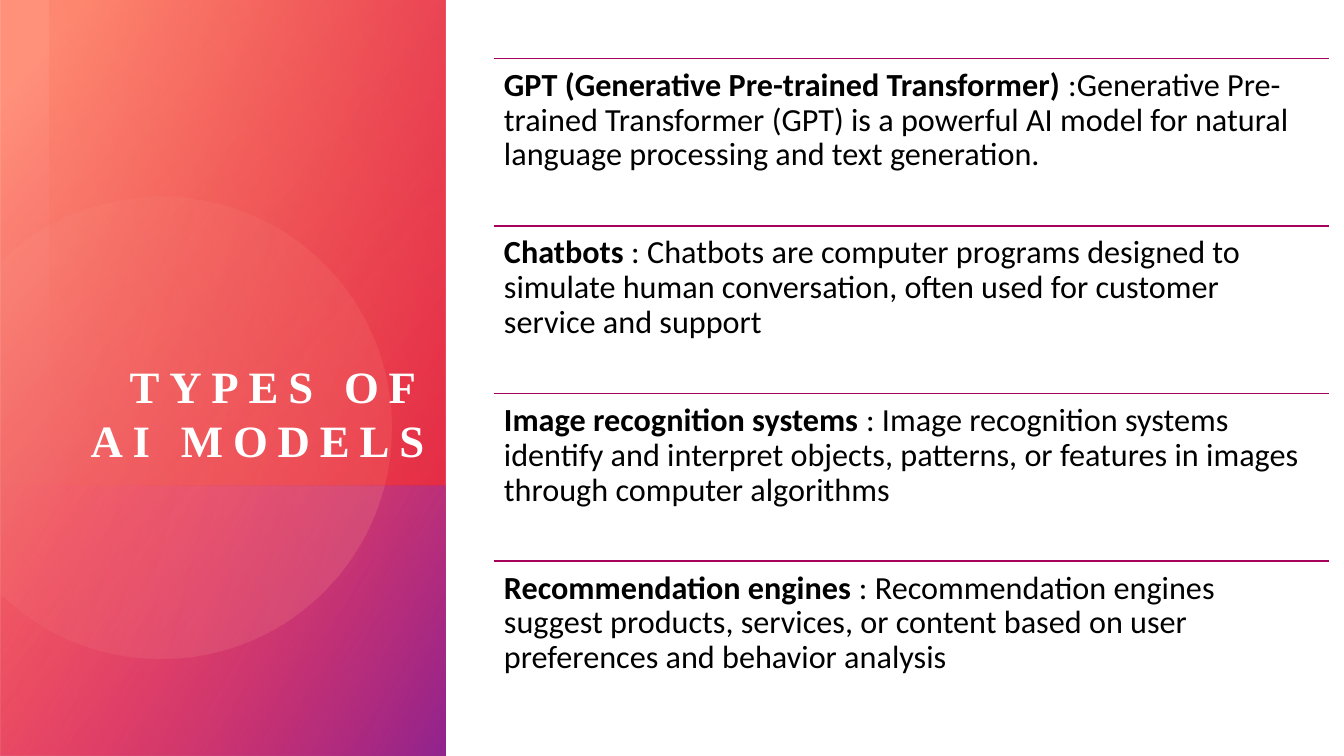
from math import cos, radians, sin

from lxml.etree import SubElement
from pptx import Presentation
from pptx.dml.color import RGBColor
from pptx.enum.shapes import MSO_CONNECTOR, MSO_SHAPE
from pptx.enum.text import MSO_ANCHOR, PP_ALIGN
from pptx.oxml.ns import qn
from pptx.util import Inches, Pt

WHITE = RGBColor(0xFF, 0xFF, 0xFF)
BLACK = RGBColor(0x00, 0x00, 0x00)
PLUM = RGBColor(0xA6, 0x02, 0x5C)
SALMON = RGBColor(0xFF, 0x90, 0x7A)
PEACH = RGBColor(0xFF, 0xBC, 0xAF)
RED = RGBColor(0xDA, 0x00, 0x2F)
ORANGE = RGBColor(0xFE, 0x4A, 0x00)
PINK = RGBColor(0xFF, 0x50, 0x76)
PURPLE = RGBColor(0x92, 0x24, 0x8E)

MODELS = [
    ("GPT (Generative Pre-trained Transformer) ",
     ":Generative Pre-trained Transformer (GPT) is a powerful AI model for "
     "natural language processing and text generation."),
    ("Chatbots",
     " : Chatbots are computer programs designed to simulate human "
     "conversation, often used for customer service and support"),
    ("Image recognition systems",
     " : Image recognition systems identify and interpret objects, patterns, "
     "or features in images through computer algorithms"),
    ("Recommendation engines",
     " : Recommendation engines suggest products, services, or content based "
     "on user preferences and behavior analysis"),
]


class SlideBuilder:
    title_font = "Times New Roman"
    body_font = "Calibri"

    def __init__(self, page):
        self.page = page

    def gradient(self, shape, stops, angle):
        """Fill with two (position %, colour, opacity %) stops, angle clockwise."""
        shape.shadow.inherit = False
        shape.line.fill.background()
        shape.fill.gradient()
        shape.fill.gradient_angle = 360 - angle
        for stop, (position, color, _) in zip(shape.fill.gradient_stops, stops):
            stop.position = position / 100
            stop.color.rgb = color
        colors = shape._element.spPr.find(qn("a:gradFill")).iter(qn("a:srgbClr"))
        for element, (_, _, opacity) in zip(list(colors), stops):
            SubElement(element, qn("a:alpha"), val=str(opacity * 1000))

    def panel(self, left, top, width, height, rotation, stops, angle):
        """Add a mirrored, turned rectangle with a gradient."""
        shape = self.page.shapes.add_shape(
            MSO_SHAPE.RECTANGLE, Inches(left), Inches(top), Inches(width), Inches(height))
        shape.rotation = rotation
        shape._element.spPr.find(qn("a:xfrm")).set("flipH", "1")
        self.gradient(shape, stops, angle)

    def cut_circle(self, center_x, center_y, radius, half_cut, tilt, stops, angle):
        """Add a circle whose left part is cut off by an upright chord."""
        steps = 120
        start = 180 + half_cut + tilt
        sweep = 360 - 2 * half_cut
        angles = [radians(start + sweep * step / steps) for step in range(steps + 1)]
        points = [(Inches(center_x + radius * cos(a)), Inches(center_y + radius * sin(a)))
                  for a in angles]
        builder = self.page.shapes.build_freeform(*points[0])
        builder.add_line_segments(points[1:], close=True)
        shape = builder.convert_to_shape()
        shape.rotation = 360 - tilt
        self.gradient(shape, stops, angle)

    def rule(self, left, top, width):
        line = self.page.shapes.add_connector(
            MSO_CONNECTOR.STRAIGHT, Inches(left), Inches(top), Inches(left + width), Inches(top))
        line.line.color.rgb = PLUM
        line.line.width = Pt(1)
        SubElement(line._element.spPr, qn("a:effectLst"))

    def text_box(self, left, top, width, height, inset, anchor):
        box = self.page.shapes.add_textbox(
            Inches(left), Inches(top), Inches(width), Inches(height))
        frame = box.text_frame
        frame.word_wrap = True
        frame.vertical_anchor = anchor
        frame.margin_left = frame.margin_right = Inches(inset)
        frame.margin_top = frame.margin_bottom = Inches(inset)
        return frame

    def title(self, text, left, top, width, height):
        frame = self.text_box(left, top, width, height, 0, MSO_ANCHOR.BOTTOM)
        frame.text = text
        para = frame.paragraphs[0]
        para.alignment = PP_ALIGN.RIGHT
        span = para.runs[0]
        self.style(span, self.title_font, 32, WHITE, True)
        span.font._element.set("spc", "700")

    def model(self, name, description, left, top, width, height):
        frame = self.text_box(left, top, width, height, 0.1, MSO_ANCHOR.TOP)
        para = frame.paragraphs[0]
        para.line_spacing = 0.9
        para.space_after = Pt(8)
        for text, bold in ((name, True), (description, False)):
            span = para.add_run()
            span.text = text
            self.style(span, self.body_font, 23, BLACK, bold)

    def style(self, span, font, size, color, bold):
        span.font.name = font
        span.font.size = Pt(size)
        span.font.bold = bold
        span.font.color.rgb = color


def main():
    deck = Presentation()
    deck.slide_width = Inches(13.33)
    deck.slide_height = Inches(7.5)
    builder = SlideBuilder(deck.slides.add_slide(deck.slide_layouts[6]))

    builder.panel(-1.54, 1.54, 7.5, 4.42, 270, [(8, SALMON, 100), (100, RED, 89)], 50)
    builder.panel(0.86, 3.95, 2.69, 4.42, 270, [(0, PINK, 0), (99, PURPLE, 100)], 60)
    builder.cut_circle(1.59, 4.2, 2.29, 46, 16.1, [(36, PEACH, 6), (100, SALMON, 26)], 30)
    builder.panel(0.05, 0.45, 4.81, 3.92, 90, [(0, RED, 29), (100, ORANGE, 0)], 110)
    builder.title("TYPES OF AI MODELS", 0.5, 0.95, 3.71, 3.68)

    left, first_top, width = 4.9, 0.58, 8.28
    row_height = 6.65 / len(MODELS)
    for row, (name, description) in enumerate(MODELS):
        top = first_top + row * row_height
        builder.rule(left, top, width)
        builder.model(name, description, left, top, width, row_height)

    deck.save("out.pptx")


if __name__ == "__main__":
    main()
